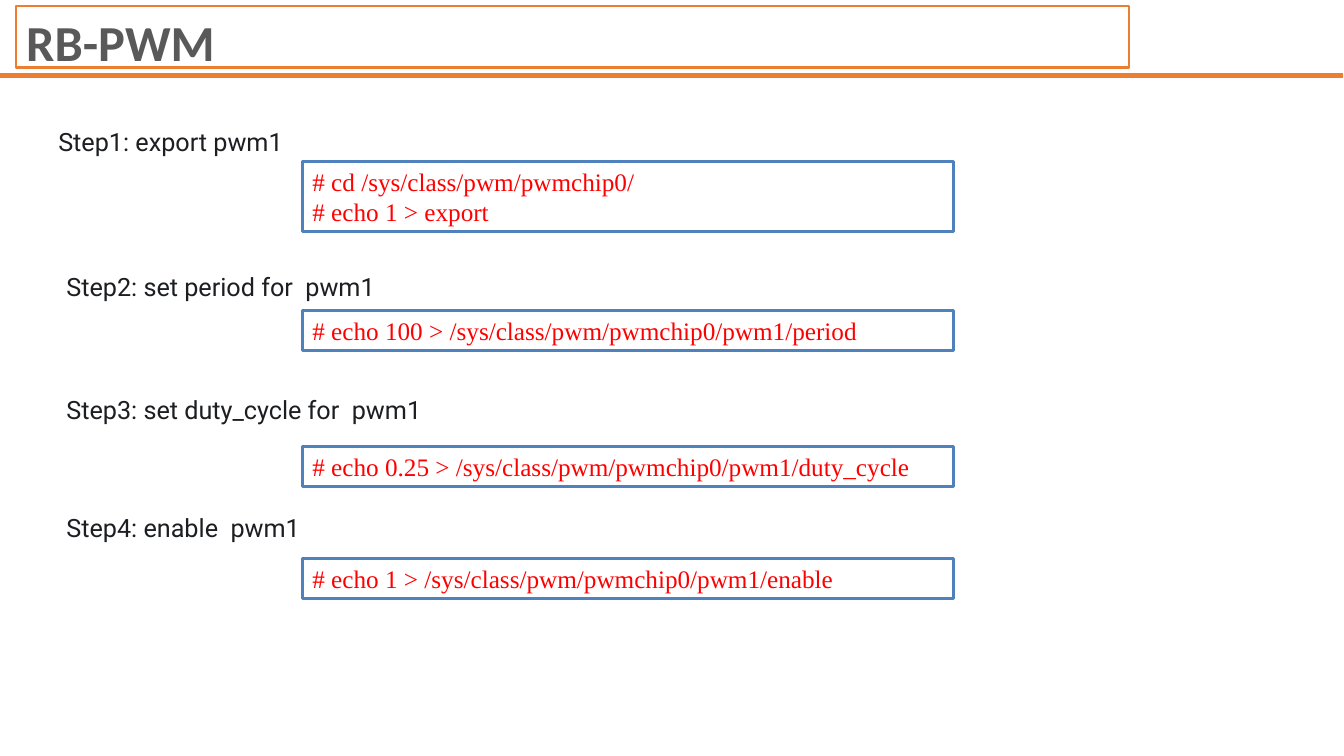
import pptx
import pptx.util
import pptx.dml.color
import pptx.enum.shapes
import pptx.enum.text
from lxml import etree

Inches = pptx.util.Inches
Pt = pptx.util.Pt

COLORS = {"accent": "ED7D31", "title": "595959", "label": "1C1E21",
          "code": "FF0000", "border": "4F81BD", "paper": "FFFFFF"}

CODE_LEFT, CODE_WIDTH = 3, 6.46
LINE_HEIGHT, PADDING = 0.3, 0.1

# label, label box (left, top, width), commands, top of the command box
STEPS = [
    ("Step1: export pwm1", (0.48, 1.2, 3),
     ["# cd /sys/class/pwm/pwmchip0/", "# echo 1 > export"], 1.6),
    ("Step2: set period for  pwm1", (0.56, 2.64, 4.05),
     ["# echo 100 > /sys/class/pwm/pwmchip0/pwm1/period"], 3.08),
    ("Step3: set duty_cycle for  pwm1", (0.56, 3.86, 4.05),
     ["# echo 0.25 > /sys/class/pwm/pwmchip0/pwm1/duty_cycle"], 4.43),
    ("Step4: enable  pwm1", (0.56, 5.03, 4.05),
     ["# echo 1 > /sys/class/pwm/pwmchip0/pwm1/enable"], 5.54),
]


def rgb(name):
    return pptx.dml.color.RGBColor.from_string(COLORS[name])


def set_line(sp, color, width):
    sp.line.color.rgb = rgb(color)
    sp.line.width = Pt(width)


def write(tf, lines, font, size, color, bold=False):
    tf.word_wrap = True
    tf.auto_size = pptx.enum.text.MSO_AUTO_SIZE.NONE
    tf.vertical_anchor = pptx.enum.text.MSO_ANCHOR.TOP
    for i, line in enumerate(lines):
        p = tf.add_paragraph() if i else tf.paragraphs[0]
        p.alignment = pptx.enum.text.PP_ALIGN.LEFT
        r = p.add_run()
        r.text = line
        r.font.name = font
        r.font.size = Pt(size)
        r.font.bold = bold
        r.font.color.rgb = rgb(color)


def add_header(s, left, top, width, height):
    # Rule under the title
    rule_y = Inches(top + height + 0.08)
    rule = s.shapes.add_connector(pptx.enum.shapes.MSO_CONNECTOR.STRAIGHT,
                                  Inches(-0.01), rule_y, Inches(13.32), rule_y)
    set_line(rule, "accent", 3)
    etree.SubElement(rule._element.spPr, pptx.oxml.ns.qn("a:effectLst"))
    # Framed title
    sp = s.shapes.title
    sp.left, sp.top = Inches(left), Inches(top)
    sp.width, sp.height = Inches(width), Inches(height)
    set_line(sp, "accent", 1.5)
    write(sp.text_frame, ["RB-PWM"], "Calibri", 36, "title", bold=True)


def add_label(s, text, left, top, width):
    sp = s.shapes.add_textbox(Inches(left), Inches(top), Inches(width),
                              Inches(LINE_HEIGHT + PADDING))
    write(sp.text_frame, [text], "Roboto", 18, "label")


def add_code(s, commands, left, top, width):
    height = LINE_HEIGHT * len(commands) + PADDING
    sp = s.shapes.add_shape(pptx.enum.shapes.MSO_SHAPE.RECTANGLE, Inches(left),
                            Inches(top), Inches(width), Inches(height))
    sp.shadow.inherit = False
    sp.fill.solid()
    sp.fill.fore_color.rgb = rgb("paper")
    set_line(sp, "border", 2)
    write(sp.text_frame, commands, "Times New Roman", 18, "code")


def main():
    prs = pptx.Presentation()
    prs.slide_width, prs.slide_height = Inches(13.33), Inches(7.5)
    s = prs.slides.add_slide(prs.slide_layouts[5])
    add_header(s, 0.16, 0.06, 11.04, 0.61)
    # Steps with their commands
    for label, label_box, commands, code_top in STEPS:
        add_code(s, commands, CODE_LEFT, code_top, CODE_WIDTH)
        add_label(s, label, *label_box)
    prs.save("out.pptx")


if __name__ == "__main__":
    main()
